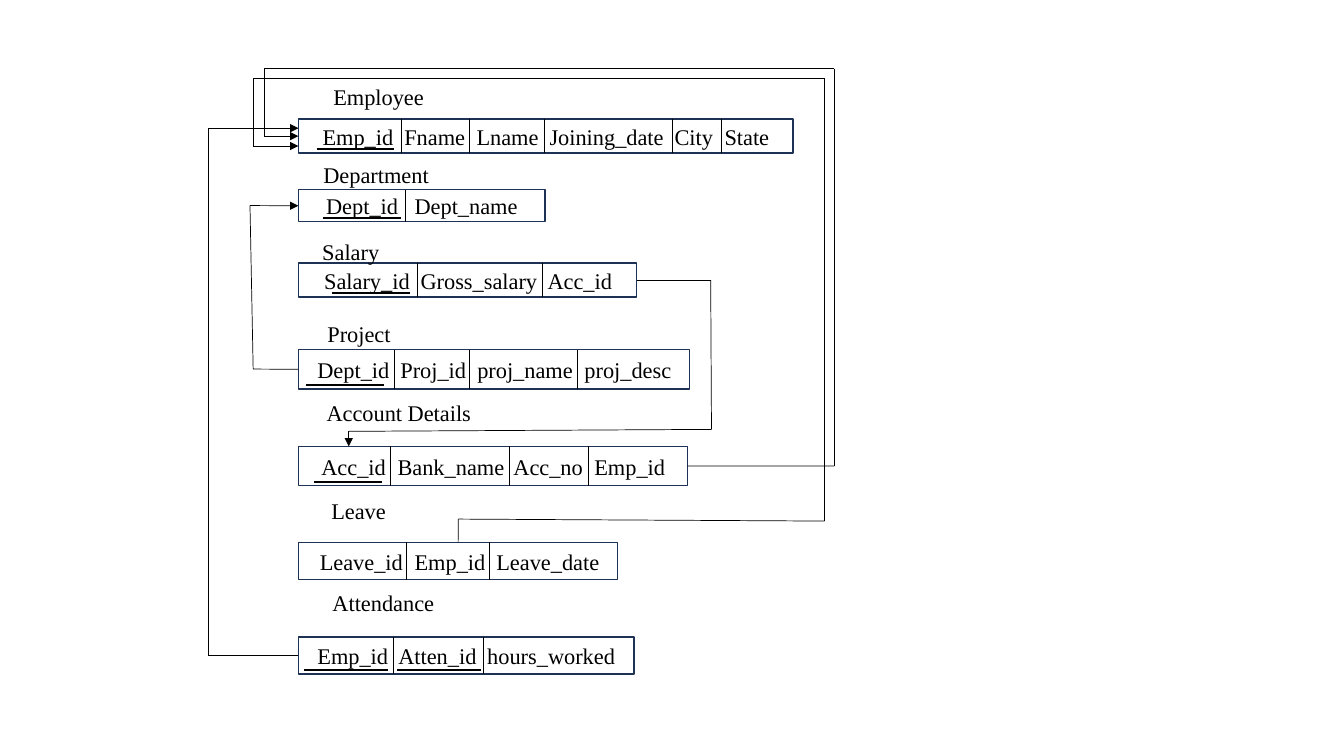
"""Build a relational schema slide with linked tables."""
from itertools import pairwise

from lxml import etree
from pptx import Presentation
from pptx.dml.color import RGBColor
from pptx.enum.shapes import MSO_CONNECTOR, MSO_SHAPE
from pptx.enum.text import MSO_ANCHOR, MSO_AUTO_SIZE, PP_ALIGN
from pptx.oxml.ns import qn
from pptx.util import Cm, Pt

STRAIGHT, RECT = MSO_CONNECTOR.STRAIGHT, MSO_SHAPE.RECTANGLE
MIDDLE, LEFT_ALIGN = MSO_ANCHOR.MIDDLE, PP_ALIGN.LEFT
FIT_TEXT = MSO_AUTO_SIZE.SHAPE_TO_FIT_TEXT
TOP, LEFT, RIGHT = 0, 1, 3

COLORS = {"ink": "000000", "paper": "FFFFFF", "border": "1E3256"}
FONT, SIZE = "Times New Roman", 16
TABLE_LEFT, LABEL_HEIGHT, KEY_GAP = 7.52, 0.94, 0.1

# name: label (left, top, width), box (top, width, height),
# fields (name, text left), dividers, key underlines (from, to)
TABLES = {
    "Employee": ((8.15, 1.98, 2.82), (3.0, 12.47, 0.86),
                 [("Emp_id", 8.13), ("Fname", 10.19), ("Lname", 12.01),
                  ("Joining_date", 13.85), ("City", 17.0), ("State", 18.26)],
                 [10.11, 11.84, 13.72, 16.94, 18.19], [(7.98, 9.93)]),
    "Department": ((7.9, 3.94, 3.33), (4.78, 6.22, 0.81),
                   [("Dept_id", 8.22), ("Dept_name", 10.45)],
                   [10.21], [(8.15, 10.11)]),
    "Salary": ((7.87, 5.87, 1.98), (6.63, 8.53, 0.86),
               [("Salary_id", 8.17), ("Gross_salary", 10.6), ("Acc_id", 13.8)],
               [10.52, 13.67], [(8.36, 10.34)]),
    "Project": ((8.0, 7.95, 2.16), (8.81, 9.86, 0.99),
                [("Dept_id", 8.0), ("Proj_id", 10.09),
                 ("proj_name", 12.03), ("proj_desc", 14.73)],
                [9.93, 11.84, 14.55], [(7.72, 9.68)]),
    "Account Details": ((7.98, 9.93, 4.22), (11.25, 9.8, 0.99),
                        [("Acc_id", 8.1), ("Bank_name", 10.02),
                         ("Acc_no", 12.94), ("Emp_id", 14.98)],
                        [9.83, 12.83, 14.83], [(7.92, 9.63)]),
    "Leave": ((8.1, 12.4, 1.9), (13.67, 8.05, 0.94),
              [("Leave_id", 8.06), ("Emp_id", 10.45), ("Leave_date", 12.51)],
              [10.24, 12.34], []),
    "Attendance": ((8.13, 14.73, 3.18), (16.05, 8.46, 0.94),
                   [("Emp_id", 8.0), ("Atten_id", 10.04), ("hours_worked", 12.28)],
                   [9.91, 12.17], [(7.67, 9.78), (10.01, 12.12)]),
}

# start (table, side), points along the way, joined end (table, side) or None
REFERENCES = [
    (("Account Details", RIGHT),
     [(17.32, 11.74), (21.03, 11.74), (21.03, 1.73), (6.65, 1.73), (6.65, 3.43), (7.52, 3.43)],
     ("Employee", LEFT)),
    (("Leave", TOP),
     [(11.55, 13.67), (11.55, 13.08), (20.78, 13.13), (20.78, 1.98), (6.38, 1.98),
      (6.38, 3.68), (7.52, 3.68)], None),
    (("Project", LEFT),
     [(7.52, 9.3), (6.38, 9.3), (6.3, 5.18), (7.52, 5.18)], ("Department", LEFT)),
    (("Salary", RIGHT),
     [(16.05, 7.06), (17.91, 7.06), (17.93, 10.82), (8.79, 10.87), (8.79, 11.25)], None),
    (("Attendance", LEFT),
     [(7.52, 16.52), (5.26, 16.52), (5.26, 3.23), (7.52, 3.23)], None),
]


def rgb(name):
    """Return a named colour."""
    return RGBColor.from_string(COLORS[name])


def style(p):
    """Set the common text font."""
    p.font.name, p.font.size = FONT, Pt(SIZE)
    p.font.color.rgb = rgb("ink")


def add_line(s, start, end, width=0.5):
    """Draw a plain straight line between two points."""
    line = s.shapes.add_connector(STRAIGHT, *(Cm(v) for v in (*start, *end)))
    line.line.color.rgb = rgb("ink")
    line.line.width = Pt(width)
    etree.SubElement(line._element.spPr, qn("a:effectLst"))
    return line


def add_label(s, name, left, top, width):
    """Write a table name above its row."""
    tf = s.shapes.add_textbox(Cm(left), Cm(top), Cm(width), Cm(LABEL_HEIGHT)).text_frame
    tf.word_wrap = False
    tf.auto_size = FIT_TEXT
    tf.text = name
    style(tf.paragraphs[0])


def add_row(s, fields, top, width, height):
    """Draw a table row with its field names on tab stops."""
    sp = s.shapes.add_shape(RECT, Cm(TABLE_LEFT), Cm(top), Cm(width), Cm(height))
    sp.shadow.inherit = False
    sp.fill.solid()
    sp.fill.fore_color.rgb = rgb("paper")
    sp.line.color.rgb = rgb("border")
    sp.line.width = Pt(1)
    tf = sp.text_frame
    tf.word_wrap = True
    tf.vertical_anchor = MIDDLE
    first = fields[0][1]
    tf.margin_left = Cm(first - TABLE_LEFT)
    tf.margin_right = tf.margin_top = tf.margin_bottom = 0
    p = tf.paragraphs[0]
    p.text = "\t".join(name for name, _ in fields)
    p.alignment = LEFT_ALIGN
    style(p)
    tabs = etree.Element(qn("a:tabLst"))
    for _, left in fields[1:]:
        etree.SubElement(tabs, qn("a:tab"), pos=str(Cm(left - first)), algn="l")
    p._p.get_or_add_pPr().insert(0, tabs)
    return sp


def add_reference(s, rows, start, points, end):
    """Draw a bent link whose last segment carries an arrowhead."""
    lines = [add_line(s, a, b) for a, b in pairwise(points)]
    lines[0].begin_connect(rows[start[0]], start[1])
    if end:
        lines[-1].end_connect(rows[end[0]], end[1])
    etree.SubElement(lines[-1].line._get_or_add_ln(), qn("a:tailEnd"), type="triangle")


def main():
    """Assemble and save the slide."""
    prs = Presentation()
    prs.slide_width, prs.slide_height = Cm(33.87), Cm(19.05)
    s = prs.slides.add_slide(prs.slide_layouts[6])
    rows = {}
    for name, (label, box, fields, dividers, keys) in TABLES.items():
        top, _, height = box
        bottom = top + height
        rows[name] = add_row(s, fields, *box)
        add_label(s, name, *label)
        for x in dividers:
            add_line(s, (x, top), (x, bottom))
        for x1, x2 in keys:
            add_line(s, (x1, bottom - KEY_GAP), (x2, bottom - KEY_GAP), 1.5)
    for start, points, end in REFERENCES:
        add_reference(s, rows, start, points, end)
    prs.save("out.pptx")


if __name__ == "__main__":
    main()
